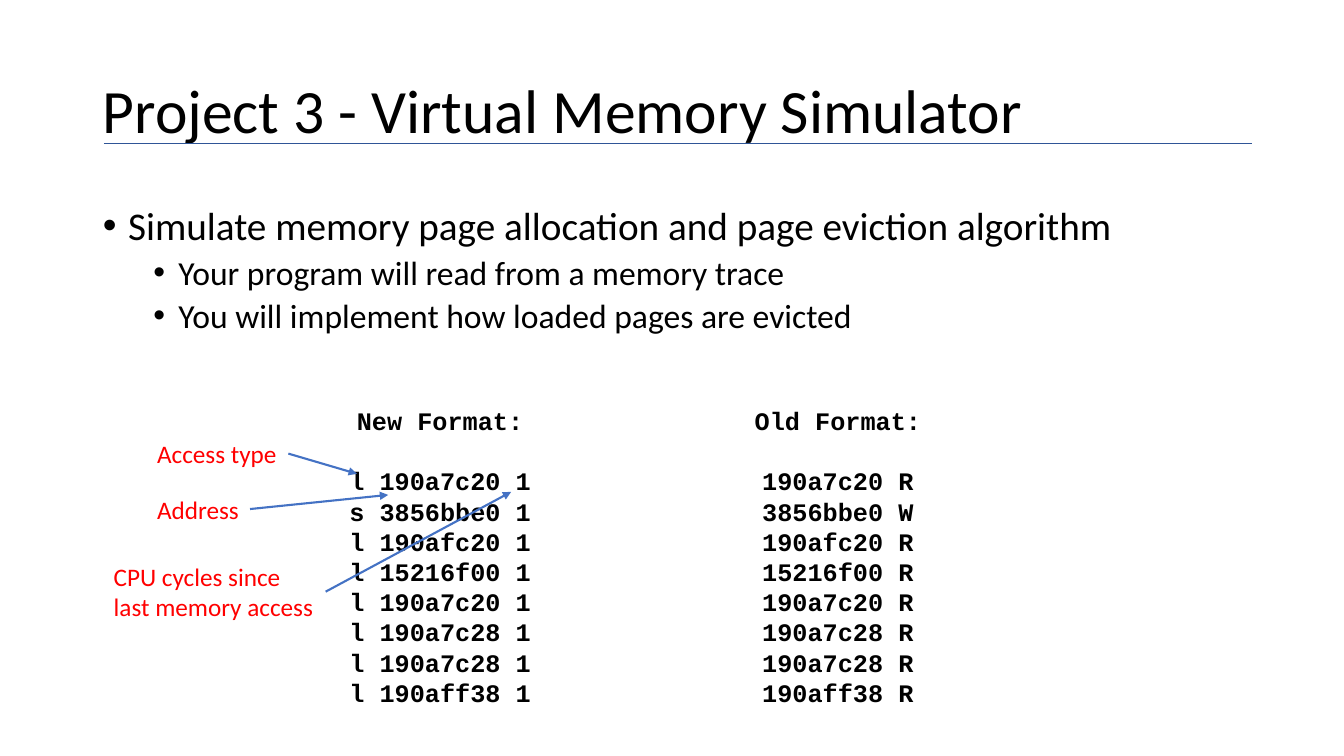
from pptx import Presentation
from pptx.dml.color import RGBColor
from pptx.enum.shapes import MSO_CONNECTOR
from pptx.enum.text import MSO_ANCHOR, MSO_AUTO_SIZE, PP_ALIGN
from pptx.oxml.ns import qn
from pptx.util import Pt
from lxml.etree import SubElement

PX = 9144


def color(value):
    return RGBColor.from_string(value)


def add_span(para, text, size, font="Calibri", fill="000000", bold=False):
    span = para.add_run()
    span.text = text
    span.font.size = Pt(size)
    span.font.name = font
    span.font.bold = bold
    span.font.color.rgb = color(fill)


deck = Presentation()
deck.slide_width, deck.slide_height = 1333 * PX, 750 * PX
page = deck.slides.add_slide(deck.slide_layouts[1])

title, body = page.placeholders
for holder, top, height, anchor in [
    (title, 40, 145, MSO_ANCHOR.MIDDLE),
    (body, 200, 461, MSO_ANCHOR.TOP),
]:
    holder.left, holder.top = 92 * PX, top * PX
    holder.width, holder.height = 1150 * PX, height * PX
    holder.text_frame.word_wrap = True
    holder.text_frame.auto_size = MSO_AUTO_SIZE.NONE
    holder.text_frame.vertical_anchor = anchor

para = title.text_frame.paragraphs[0]
para.alignment = PP_ALIGN.LEFT
para.line_spacing = 0.9
add_span(para, "Project 3 - Virtual Memory Simulator", 44)

bullets = [
    (0, "Simulate memory page allocation and page eviction algorithm"),
    (1, "Your program will read from a memory trace"),
    (1, "You will implement how loaded pages are evicted"),
]
for index, (level, text) in enumerate(bullets):
    para = body.text_frame.add_paragraph() if index else body.text_frame.paragraphs[0]
    para.level = level
    properties = para._p.get_or_add_pPr()
    properties.set("marL", str((25 + 50 * level) * PX))
    properties.set("indent", str(-25 * PX))
    SubElement(properties, qn("a:buFont"), typeface="Arial")
    SubElement(properties, qn("a:buChar"), char="•")
    para.line_spacing = 0.9
    para.space_before = Pt(5 if index else 0)
    add_span(para, text, 28 - 4 * level)

accesses = [
    ("l", "190a7c20", "R"),
    ("s", "3856bbe0", "W"),
    ("l", "190afc20", "R"),
    ("l", "15216f00", "R"),
    ("l", "190a7c20", "R"),
    ("l", "190a7c28", "R"),
    ("l", "190a7c28", "R"),
    ("l", "190aff38", "R"),
]
old_rows = [f"{address} {mode}" for _, address, mode in accesses]
new_rows = [f"{kind} {address} 1" for kind, address, _ in accesses]
for left, width, heading, rows in [
    (627, 408, "Old Format:", old_rows),
    (103, 667, "New Format:", new_rows),
]:
    box = page.shapes.add_textbox(left * PX, 397 * PX, width * PX, 313 * PX)
    box.text_frame.word_wrap = True
    for index, text in enumerate([heading] + rows):
        para = box.text_frame.add_paragraph() if index else box.text_frame.paragraphs[0]
        para.alignment = PP_ALIGN.CENTER
        para.space_after = Pt(0 if index else 21.6)
        add_span(para, text, 18, "Courier New", bold=True)

for left, top, width, height, lines in [
    (146, 430, 140, 40, ["Access type"]),
    (146, 485, 102, 40, ["Address"]),
    (103, 552, 220, 71, ["CPU cycles since", "last memory access"]),
]:
    box = page.shapes.add_textbox(left * PX, top * PX, width * PX, height * PX)
    box.text_frame.word_wrap = False
    box.text_frame.auto_size = MSO_AUTO_SIZE.SHAPE_TO_FIT_TEXT
    para = box.text_frame.paragraphs[0]
    for index, text in enumerate(lines):
        if index:
            para.add_line_break()
        add_span(para, text, 18, fill="FF0000")

for ends, stroke, weight, arrow in [
    ((103, 142, 1242, 142), "2F5597", 0.5, False),
    ((286, 450, 354, 470), "4472C4", 1.5, True),
    ((248, 505, 385, 491), "4472C4", 1.5, True),
    ((323, 587, 507, 488), "4472C4", 1.5, True),
]:
    line = page.shapes.add_connector(MSO_CONNECTOR.STRAIGHT, *[end * PX for end in ends])
    line.line.color.rgb = color(stroke)
    line.line.width = Pt(weight)
    if arrow:
        SubElement(line.line._get_or_add_ln(), qn("a:tailEnd"), type="triangle")
    SubElement(line._element.spPr, qn("a:effectLst"))

deck.save("out.pptx")
